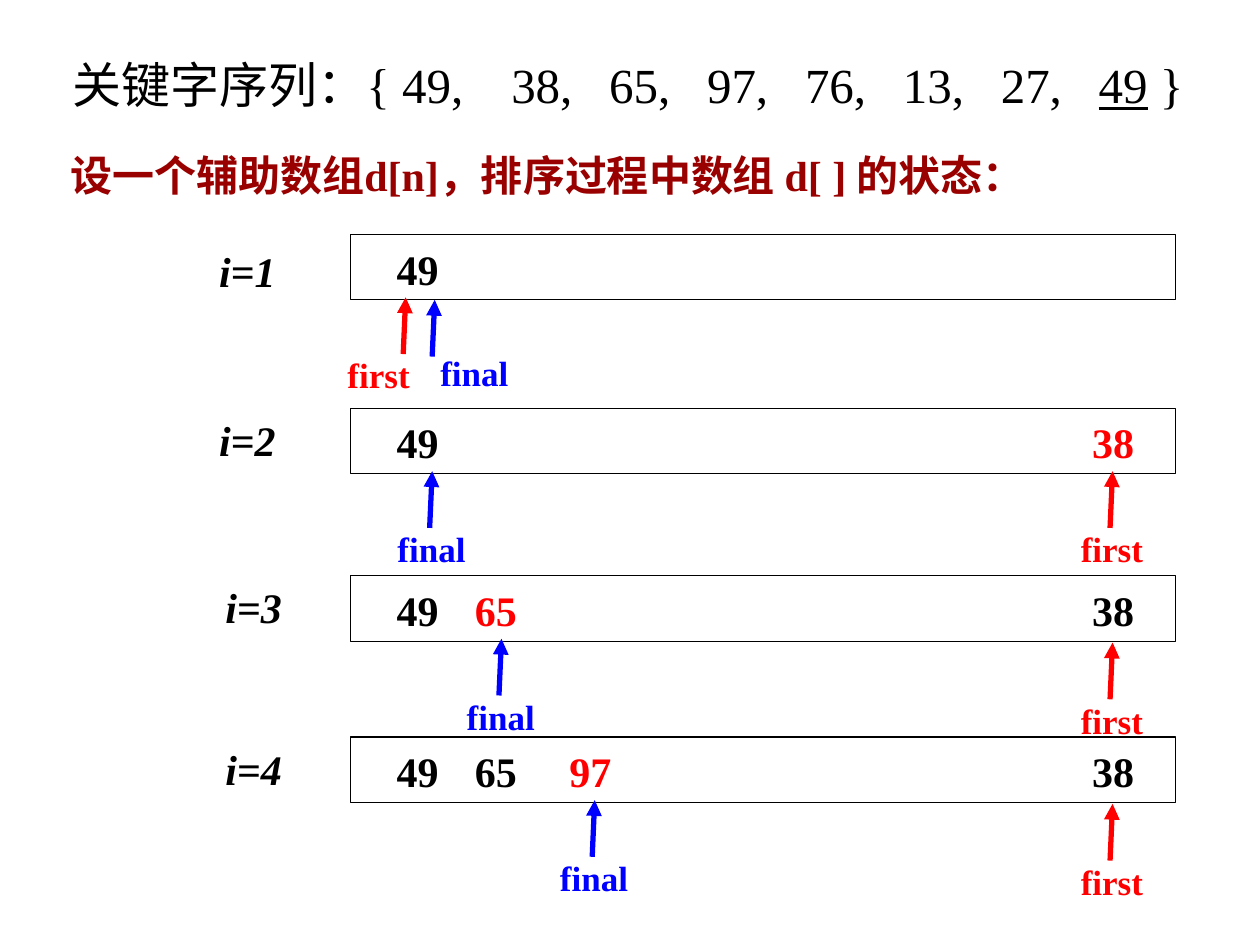
from dataclasses import dataclass

from lxml.etree import SubElement
from pptx import Presentation
from pptx.dml.color import RGBColor
from pptx.enum.shapes import MSO_CONNECTOR, MSO_SHAPE
from pptx.enum.text import MSO_AUTO_SIZE, PP_ALIGN
from pptx.oxml.ns import qn
from pptx.shapes.group import GroupShape
from pptx.text.text import _Paragraph
from pptx.util import Inches, Pt

COLOURS = {"black": "000000", "title": "990000", "first": "FF0000", "final": "0000FF"}
FONT = "Times New Roman"
SLIDE_WIDTH, SLIDE_HEIGHT = Inches(10), Inches(7.5)
COLUMNS = 100
CELL = SLIDE_WIDTH // COLUMNS
ARRAY_LEFT, ARRAY_WIDTH, ARRAY_HEIGHT = 27.8, 65.5, 5.2
SLOTS = {"49": 30.5, "65": 36.7, "97": 44.2, "38": 85.7}


@dataclass(frozen=True)
class Pointer:
    name: str
    column: float
    drop: float = 5.0
    label_shift: float = -4.6
    label_drop: float = 4.0


@dataclass(frozen=True)
class Step:
    label: str
    label_column: float
    row: float
    values: tuple[str, ...]
    pointers: tuple[Pointer, ...]
    newest: str = ""
    label_drop: float = 0


STEPS = (
    Step("i=1", 16.4, 18.6, ("49",),
         (Pointer("first", 32.2, label_shift=-6.7),
          Pointer("final", 34.5, 5.2, -1.4, 3.6)), label_drop=0.4),
    Step("i=2", 16.4, 32.4, ("49", "38"),
         (Pointer("final", 34.3), Pointer("first", 88.3)), "38"),
    Step("i=3", 16.9, 45.7, ("49", "65", "38"),
         (Pointer("final", 39.8), Pointer("first", 88.3, 5.3)), "65"),
    Step("i=4", 16.9, 58.5, ("49", "65", "97", "38"),
         (Pointer("final", 47.2), Pointer("first", 88.3, 5.3)), "97"),
)


def cells(*counts: float) -> list[int]:
    """Turn grid counts into slide lengths."""
    return [round(count * CELL) for count in counts]


def write(shapes, text: str, box: tuple[float, ...], *, size: int = 24,
          colour: str = "black", bold: bool = True, italic: bool = False,
          centred: bool = False, underlined: str = "") -> _Paragraph:
    """Place one paragraph of text, underlining one part of it if given."""
    frame = shapes.add_textbox(*cells(*box)).text_frame
    frame.word_wrap = True
    frame.auto_size = MSO_AUTO_SIZE.SHAPE_TO_FIT_TEXT
    paragraph = frame.paragraphs[0]
    paragraph.alignment = PP_ALIGN.CENTER if centred else PP_ALIGN.LEFT
    before, marked, after = text.rpartition(underlined) if underlined else (text, "", "")
    for part in filter(None, (before, marked, after)):
        run = paragraph.add_run()
        run.text = part
        run.font.name, run.font.size = FONT, Pt(size)
        run.font.bold, run.font.italic = bold, italic
        run.font.underline = part == underlined
        run.font.color.rgb = RGBColor.from_string(COLOURS[colour])
    return paragraph


def set_tabs(paragraph: _Paragraph, start: float, pitch: float, count: int) -> None:
    """Add evenly spaced left tab stops."""
    stops = SubElement(paragraph._p.get_or_add_pPr(), qn("a:tabLst"))
    for index in range(count):
        position = cells(start + index * pitch)[0]
        SubElement(stops, qn("a:tab"), pos=str(position), algn="l")


def draw_array(group: GroupShape, row: float) -> None:
    """Outline the auxiliary array."""
    array = group.shapes.add_shape(
        MSO_SHAPE.RECTANGLE, *cells(ARRAY_LEFT, row, ARRAY_WIDTH, ARRAY_HEIGHT))
    array.shadow.inherit = False
    array.fill.background()
    array.line.color.rgb = RGBColor.from_string(COLOURS["black"])
    array.line.width = Pt(0.75)


def draw_pointer(group: GroupShape, pointer: Pointer, row: float) -> None:
    """Draw a named arrow up to an array slot."""
    tip = row + pointer.drop
    arrow = group.shapes.add_connector(
        MSO_CONNECTOR.STRAIGHT,
        *cells(pointer.column, tip, pointer.column - 0.2, tip + 4.5))
    arrow.line.color.rgb = RGBColor.from_string(COLOURS[pointer.name])
    arrow.line.width = Pt(3)
    SubElement(arrow.line._get_or_add_ln(), qn("a:headEnd"), type="triangle")
    SubElement(arrow._element.spPr, qn("a:effectLst"))
    write(group.shapes, pointer.name,
          (pointer.column + pointer.label_shift, tip + pointer.label_drop, 9.1, 4.3),
          size=20, colour=pointer.name, centred=True)


def draw_step(shapes, step: Step) -> None:
    """Draw one state of the array with its values and pointers."""
    group = shapes.add_group_shape()
    write(group.shapes, step.label,
          (step.label_column, step.row + step.label_drop, 7.7, 5), italic=True)
    draw_array(group, step.row)
    for value in step.values:
        write(group.shapes, value, (SLOTS[value], step.row + 0.2, 7.7, 5),
              colour="first" if value == step.newest else "black")
    for pointer in step.pointers:
        draw_pointer(group, pointer, step.row)


def main() -> None:
    """Build and save the slide."""
    presentation = Presentation()
    presentation.slide_width, presentation.slide_height = SLIDE_WIDTH, SLIDE_HEIGHT
    shapes = presentation.slides.add_slide(presentation.slide_layouts[6]).shapes
    keys = ("49", "38", "65", "97", "76", "13", "27", "49")
    sequence = write(shapes, "关键字序列：{ " + ",\t".join(keys) + " }",
                     (4.8, 3.8, 91.7, 5.7), size=28, bold=False, underlined="49")
    set_tabs(sequence, 34.8, 7.77, len(keys) - 1)
    write(shapes, "设一个辅助数组d[n]，排序过程中数组 d[ ] 的状态：",
          (4.6, 11.4, 80.7, 5), colour="title")
    for step in STEPS:
        draw_step(shapes, step)
    presentation.save("out.pptx")


if __name__ == "__main__":
    main()
